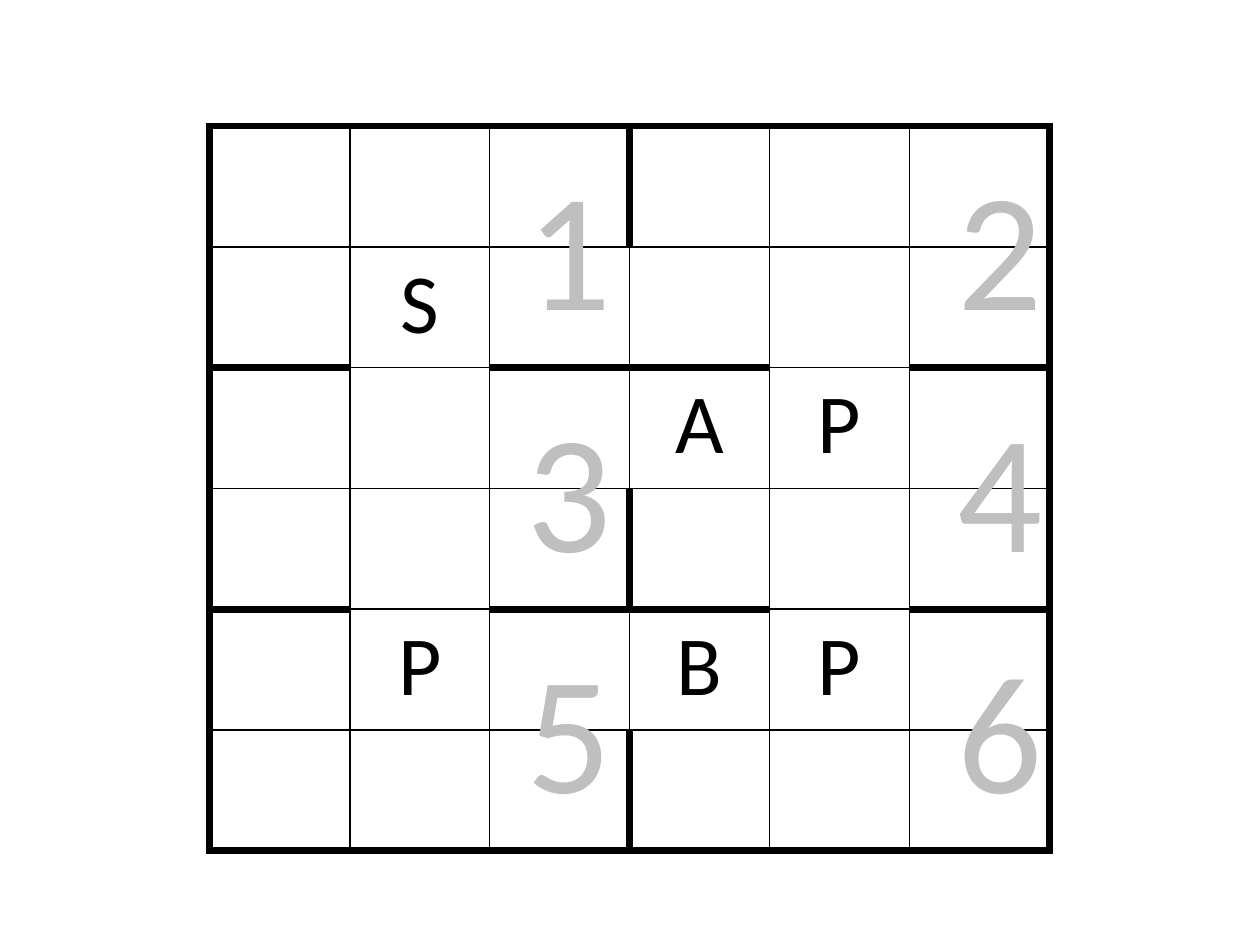
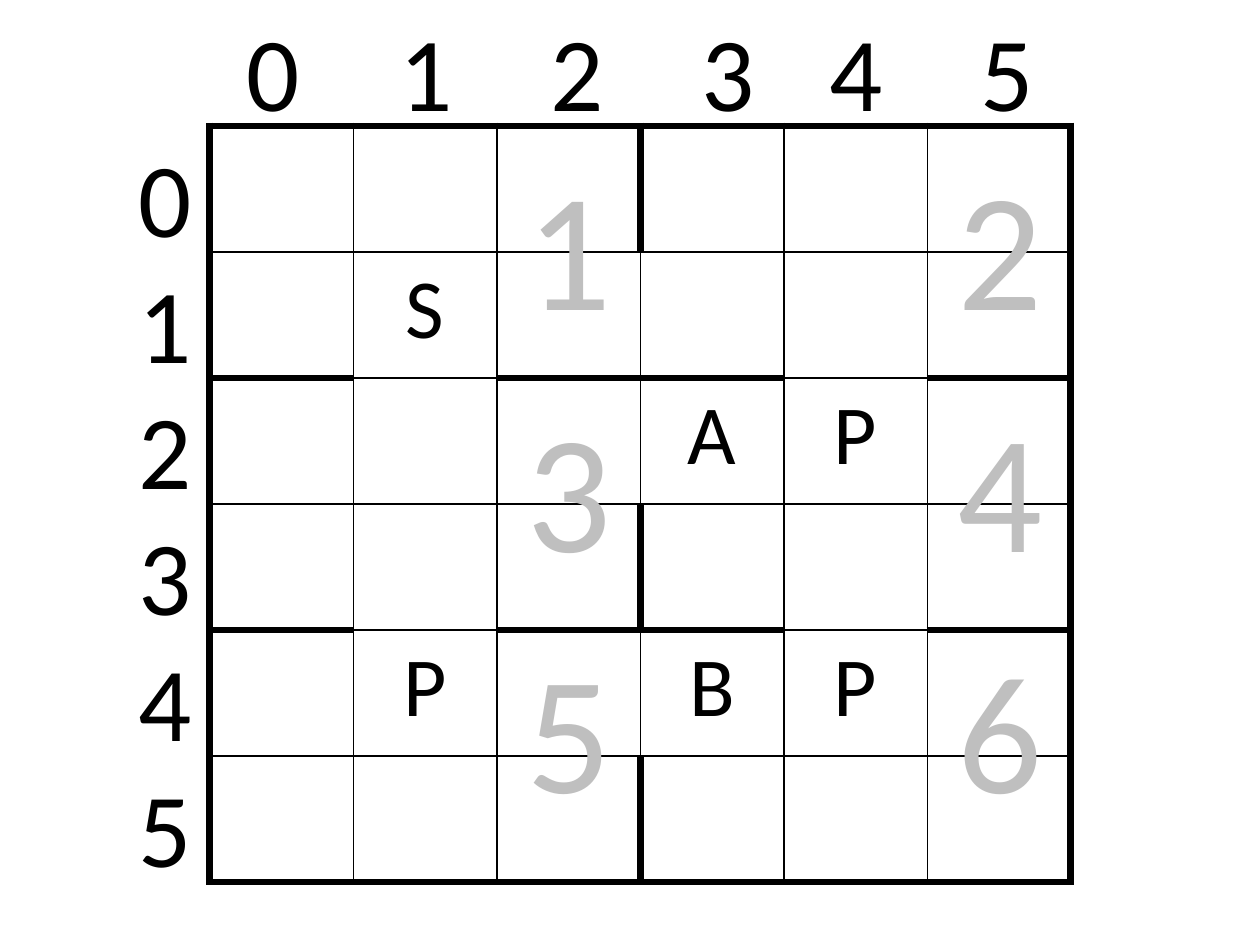
from dataclasses import dataclass

from lxml.etree import SubElement
from pptx import Presentation
from pptx.dml.color import RGBColor
from pptx.enum.text import MSO_AUTO_SIZE as AutoSize, PP_ALIGN as Align
from pptx.oxml.ns import qn
from pptx.slide import Slide
from pptx.table import _Cell as Cell
from pptx.text.text import _Paragraph as Paragraph
from pptx.util import Cm, Length, Pt

BLACK = RGBColor(0x00, 0x00, 0x00)
GREY = RGBColor(0xBF, 0xBF, 0xBF)
FONT = "Calibri"
SIZE = 6
THIN, THICK = Pt(1), Pt(4.5)
BOARD_LEFT, BOARD_TOP = Cm(4.23), Cm(2.54)

PIECES = {(1, 1): "S", (2, 3): "A", (2, 4): "P",
          (4, 1): "P", (4, 3): "B", (4, 4): "P"}
ROOM_COLUMNS = (0, 3, SIZE)
ROOM_ROWS = (0, 2, 4, SIZE)
DOOR_ROWS = (1, 2, 4)
DOOR_COLUMNS = (1, 4)
COLUMN_CENTRES = (1.02, 4.11, 7.16, 10.19, 12.78, 15.82)


@dataclass(frozen=True)
class Board:
    width: Length
    height: Length
    room_label_width: Length
    has_indices: bool


@dataclass(frozen=True)
class Label:
    left: Length
    top: Length
    width: Length
    height: Length
    lines: tuple[str, ...]
    points: int
    color: RGBColor


BOARDS = (
    Board(Cm(16.93), Cm(14.61), Cm(1.9), False),
    Board(Cm(17.36), Cm(15.24), Cm(1.96), True),
)


def add_run(paragraph: Paragraph, text: str, points: int, color: RGBColor) -> None:
    run = paragraph.add_run()
    run.text = text
    run.font.name = FONT
    run.font.size = Pt(points)
    run.font.color.rgb = color


def add_label(slide: Slide, label: Label) -> list[Paragraph]:
    frame = slide.shapes.add_textbox(label.left, label.top, label.width, label.height).text_frame
    frame.word_wrap = True
    frame.auto_size = AutoSize.SHAPE_TO_FIT_TEXT
    for index, line in enumerate(label.lines):
        paragraph = frame.add_paragraph() if index else frame.paragraphs[0]
        add_run(paragraph, line, label.points, label.color)
    return list(frame.paragraphs)


def vertical_wall(row: int, edge: int) -> Length:
    is_door = 0 < edge < SIZE and row in DOOR_ROWS
    return THICK if edge in ROOM_COLUMNS and not is_door else THIN


def horizontal_wall(edge: int, column: int) -> Length:
    is_door = 0 < edge < SIZE and column in DOOR_COLUMNS
    return THICK if edge in ROOM_ROWS and not is_door else THIN


def draw_walls(cell: Cell, row: int, column: int) -> None:
    walls = {
        "a:lnL": vertical_wall(row, column),
        "a:lnR": vertical_wall(row, column + 1),
        "a:lnT": horizontal_wall(row, column),
        "a:lnB": horizontal_wall(row + 1, column),
    }
    properties = cell._tc.get_or_add_tcPr()
    for tag, width in walls.items():
        line = SubElement(properties, qn(tag), w=str(int(width)))
        fill = SubElement(line, qn("a:solidFill"))
        SubElement(fill, qn("a:srgbClr"), val=str(BLACK))
    cell.fill.background()


def add_board(slide: Slide, board: Board) -> None:
    table = slide.shapes.add_table(SIZE, SIZE, BOARD_LEFT, BOARD_TOP,
                                   board.width, board.height).table
    table.first_row = False
    table.horz_banding = False
    for row in range(SIZE):
        for column in range(SIZE):
            cell = table.cell(row, column)
            draw_walls(cell, row, column)
            if (row, column) in PIECES:
                paragraph = cell.text_frame.paragraphs[0]
                paragraph.alignment = Align.CENTER
                add_run(paragraph, PIECES[row, column], 48, BLACK)


def add_room_numbers(slide: Slide, width: Length) -> None:
    for room in range(6):
        row, column = divmod(room, 2)
        add_label(slide, Label(Cm(10.37 + 8.68 * column), Cm(2.75 + 4.87 * row),
                               width, Cm(4.36), (str(room + 1),), 96, GREY))


def add_indices(slide: Slide) -> None:
    digits = tuple(str(index) for index in range(SIZE))
    add_label(slide, Label(Cm(2.54), BOARD_TOP, Cm(1.07), Cm(15.65), digits, 60, BLACK))
    header_text = "".join(f"\t{digit}" for digit in digits)
    header, = add_label(slide, Label(BOARD_LEFT, Cm(0), Cm(16.93), Cm(2.82),
                                     (header_text,), 60, BLACK))
    stops = SubElement(header._p.get_or_add_pPr(), qn("a:tabLst"))
    for centre in COLUMN_CENTRES:
        SubElement(stops, qn("a:tab"), pos=str(int(Cm(centre))), algn="ctr")


def main() -> None:
    presentation = Presentation()
    presentation.slide_width = Cm(25.4)
    presentation.slide_height = Cm(19.05)
    for board in BOARDS:
        slide = presentation.slides.add_slide(presentation.slide_layouts[6])
        add_board(slide, board)
        add_room_numbers(slide, board.room_label_width)
        if board.has_indices:
            add_indices(slide)
    presentation.save("out.pptx")


if __name__ == "__main__":
    main()
